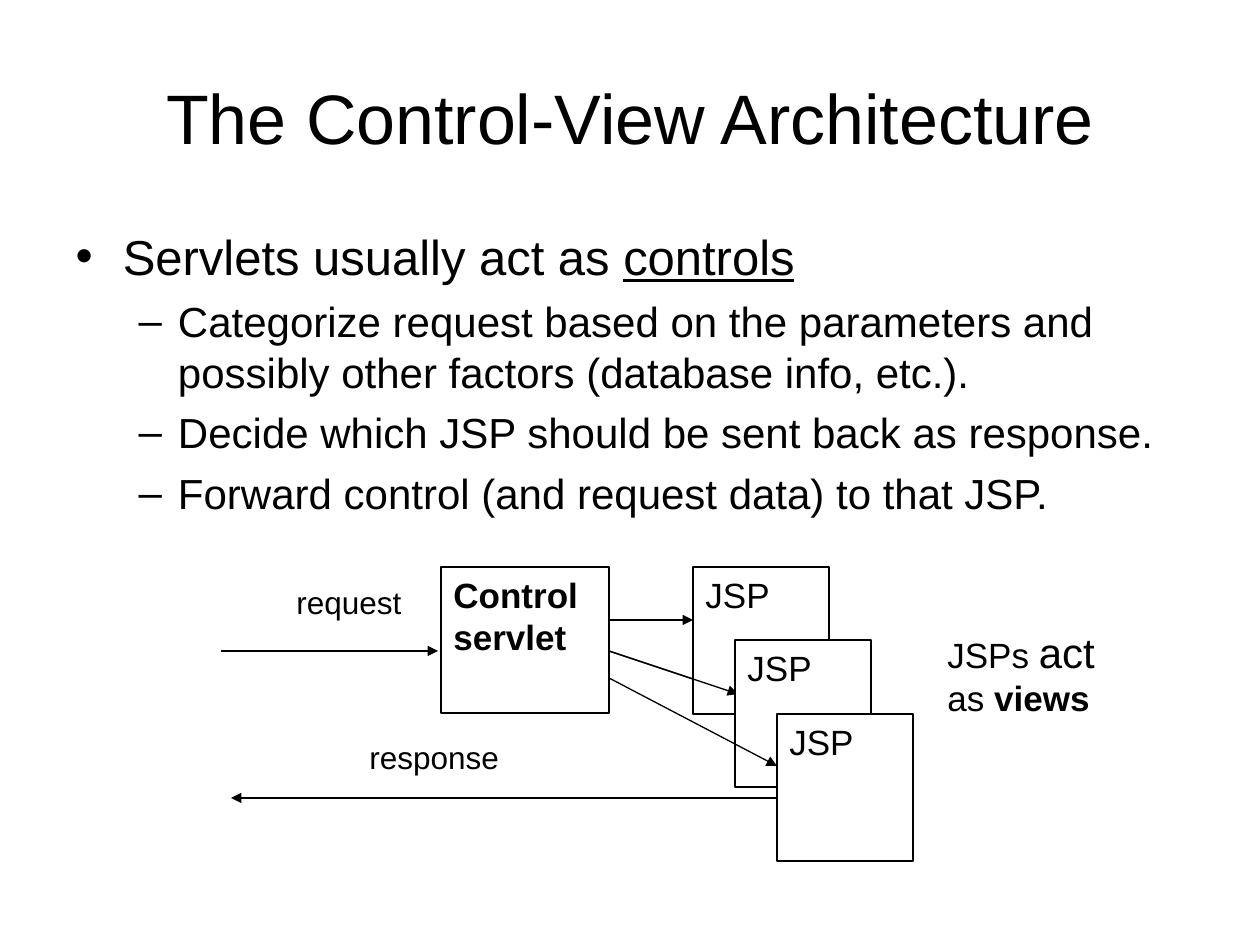
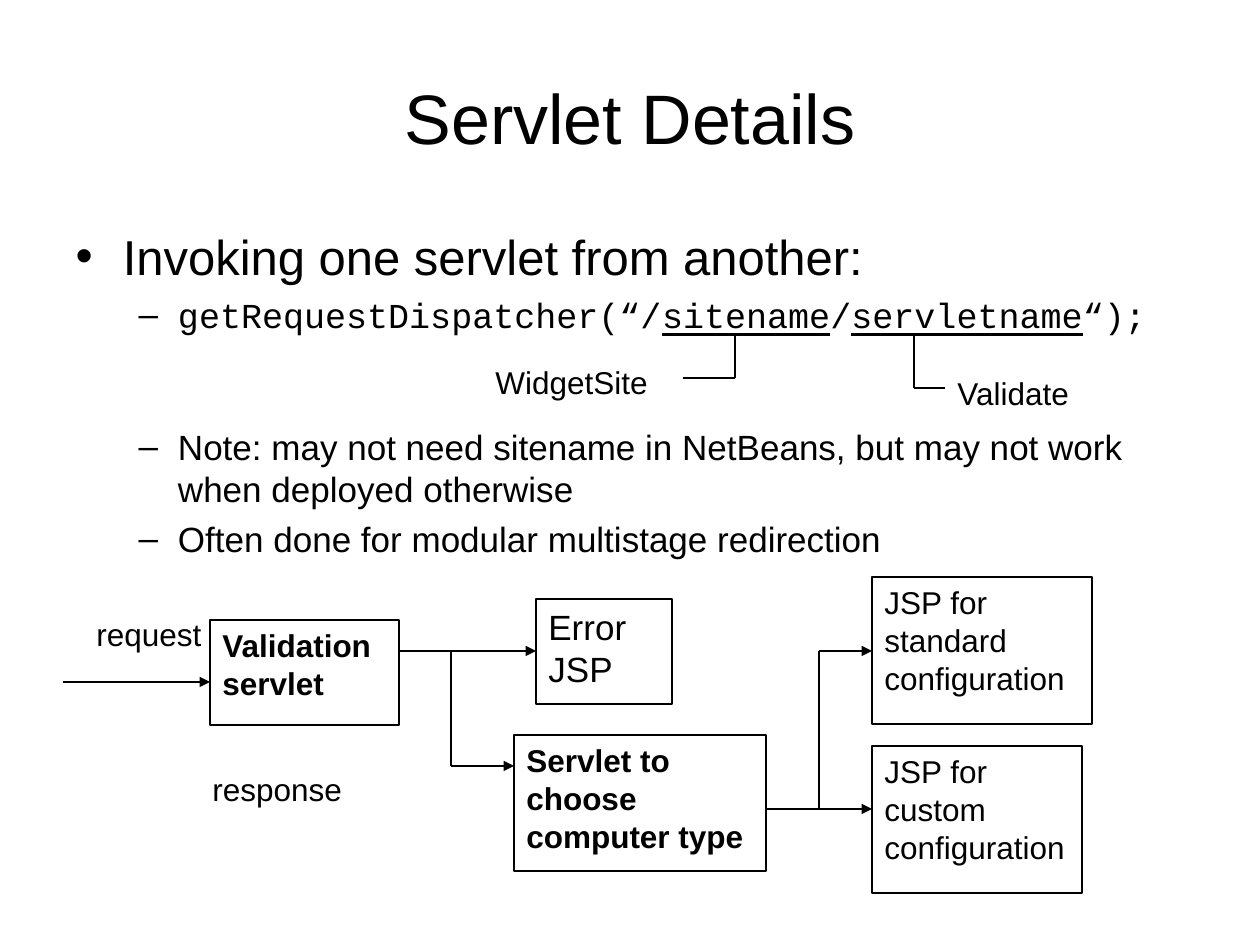
from itertools import pairwise

from lxml import etree
from pptx import Presentation
from pptx.dml.color import RGBColor
from pptx.enum.shapes import MSO_CONNECTOR, MSO_SHAPE
from pptx.enum.text import MSO_ANCHOR, MSO_AUTO_SIZE, PP_ALIGN
from pptx.oxml.ns import qn
from pptx.util import Pt

PX = 914400 / 126
BLACK = RGBColor(0x00, 0x00, 0x00)
WHITE = RGBColor(0xFF, 0xFF, 0xFF)
SANS = "Arial"
MONO = "Courier New"
RECT = MSO_SHAPE.RECTANGLE
STRAIGHT = MSO_CONNECTOR.STRAIGHT
LEFT, CENTER = PP_ALIGN.LEFT, PP_ALIGN.CENTER
TOP, MIDDLE = MSO_ANCHOR.TOP, MSO_ANCHOR.MIDDLE
NO_FIT = MSO_AUTO_SIZE.NONE


def label(slide, text, x, y, w, h, size=18, bold=False, framed=False):
    """Place text, in a white frame if framed, and return its paragraph."""
    area = [round(n * PX) for n in (x, y, w, h)]
    if framed:
        shape = slide.shapes.add_shape(RECT, *area)
        shape.shadow.inherit = False
        shape.fill.solid()
        shape.fill.fore_color.rgb = WHITE
        shape.line.color.rgb = BLACK
        shape.line.width = Pt(0.75)
    else:
        shape = slide.shapes.add_textbox(*area)
    frame = shape.text_frame
    frame.word_wrap = True
    frame.vertical_anchor = TOP
    para = frame.paragraphs[0]
    para.text = text
    para.alignment = LEFT
    font = para.font
    font.name, font.size, font.bold = SANS, Pt(size), bold
    font.color.rgb = BLACK
    return para


def wire(slide, *points, arrow=True):
    """Join the points with straight lines, with an arrowhead at the end."""
    for start, end in pairwise(points):
        line = slide.shapes.add_connector(
            STRAIGHT, *[round(n * PX) for n in start + end])
        line.line.color.rgb = BLACK
        line.line.width = Pt(0.75)
        props = line._element.spPr
        if arrow and end == points[-1]:
            etree.SubElement(props.find(qn("a:ln")), qn("a:tailEnd"), type="triangle")
        etree.SubElement(props, qn("a:effectLst"))


deck = Presentation()
deck.slide_width = round(1260 * PX)
deck.slide_height = round(945 * PX)

# Each list item: level, size, font, space before, runs (odd runs are underlined)
pages = [
    ("The Control-View Architecture", 336, [
        (0, 28, SANS, 0, ["Servlets usually act as ", "controls"]),
        (1, 24, SANS, 6, ["Categorize request based on the parameters and "
                          "possibly other factors (database info, etc.)."]),
        (1, 24, SANS, 6, ["Decide which JSP should be sent back as response."]),
        (1, 24, SANS, 6, ["Forward control (and request data) to that JSP."]),
    ]),
    ("Servlet Details", 624, [
        (0, 28, SANS, 0, ["Invoking one servlet from another:"]),
        (1, 20, MONO, 5, ["getRequestDispatcher(“/", "sitename", "/",
                          "servletname", "“);"]),
        (1, 20, SANS, 51, ["Note: may not need sitename in NetBeans, but may "
                           "not work when deployed otherwise"]),
        (1, 20, SANS, 5, ["Often done for modular multistage redirection"]),
    ]),
]

for heading, depth, items in pages:
    slide = deck.slides.add_slide(deck.slide_layouts[1])
    title, body = slide.placeholders
    for shape, top, height in ((title, 38, 158), (body, 220, depth)):
        shape.left, shape.width = round(63 * PX), round(1134 * PX)
        shape.top, shape.height = round(top * PX), round(height * PX)
        shape.text_frame.auto_size = NO_FIT
        shape.text_frame.word_wrap = True
    title.text_frame.text = heading
    title.text_frame.vertical_anchor = MIDDLE
    para = title.text_frame.paragraphs[0]
    para.alignment = CENTER
    para.font.name, para.font.size = SANS, Pt(40)
    para.font.color.rgb = BLACK
    frame = body.text_frame
    for i, (level, size, face, gap, runs) in enumerate(items):
        para = frame.add_paragraph() if i else frame.paragraphs[0]
        para.level = level
        para.space_before = Pt(gap)
        para.font.name, para.font.size = face, Pt(size)
        para.font.color.rgb = BLACK
        for j, text in enumerate(runs):
            run = para.add_run()
            run.text = text
            if j % 2:
                run.font.underline = True

control, details = deck.slides

# Control servlet forwarding to three stacked JSPs
wire(control, (221, 651), (438, 651))
label(control, "request", 284, 577, 168, 47)
label(control, "Control servlet", 441, 567, 168, 146, 20, True, True)
wire(control, (609, 651), (738, 694))
wire(control, (777, 798), (231, 798))
label(control, "response", 357, 732, 210, 47)
for x, y in ((693, 567), (735, 640), (777, 714)):
    label(control, "JSP", x, y, 136, 147, 20, framed=True)
    if y == 567:
        wire(control, (609, 620), (693, 620))
        wire(control, (609, 651), (738, 694))
wire(control, (609, 678), (777, 766))
views = label(control, "JSPs ", 935, 620, 199, 147, 20)
for text in ("act", " as ", "views"):
    run = views.add_run()
    run.text = text
    if text == "act":
        run.font.size = Pt(24)
    if text == "views":
        run.font.bold = True

# Names that fill in the dispatcher call
label(details, "WidgetSite", 483, 357, 210, 50)
wire(details, (683, 378), (735, 378), (735, 336), arrow=False)
label(details, "Validate", 945, 368, 210, 50)
wire(details, (945, 388), (914, 388), (914, 336), arrow=False)

# Multistage redirection
label(details, "request", 84, 609, 168, 47)
label(details, "response", 200, 764, 210, 47)
for text, x, y, w, h, size, bold in (
    ("Validation servlet", 210, 620, 189, 105, 18, True),
    ("Error JSP", 536, 599, 136, 105, 20, False),
    ("JSP for standard configuration", 872, 577, 220, 147, 18, False),
    ("JSP for custom configuration", 872, 746, 210, 147, 18, False),
    ("Servlet to choose computer type", 514, 735, 252, 136, 18, True),
):
    label(details, text, x, y, w, h, size, bold, True)
for points in (
    [(63, 682), (210, 682)],
    [(399, 651), (536, 651)],
    [(451, 651), (451, 766), (514, 766)],
    [(766, 809), (872, 809)],
    [(819, 809), (819, 651), (872, 651)],
):
    wire(details, *points)

deck.save("out.pptx")
